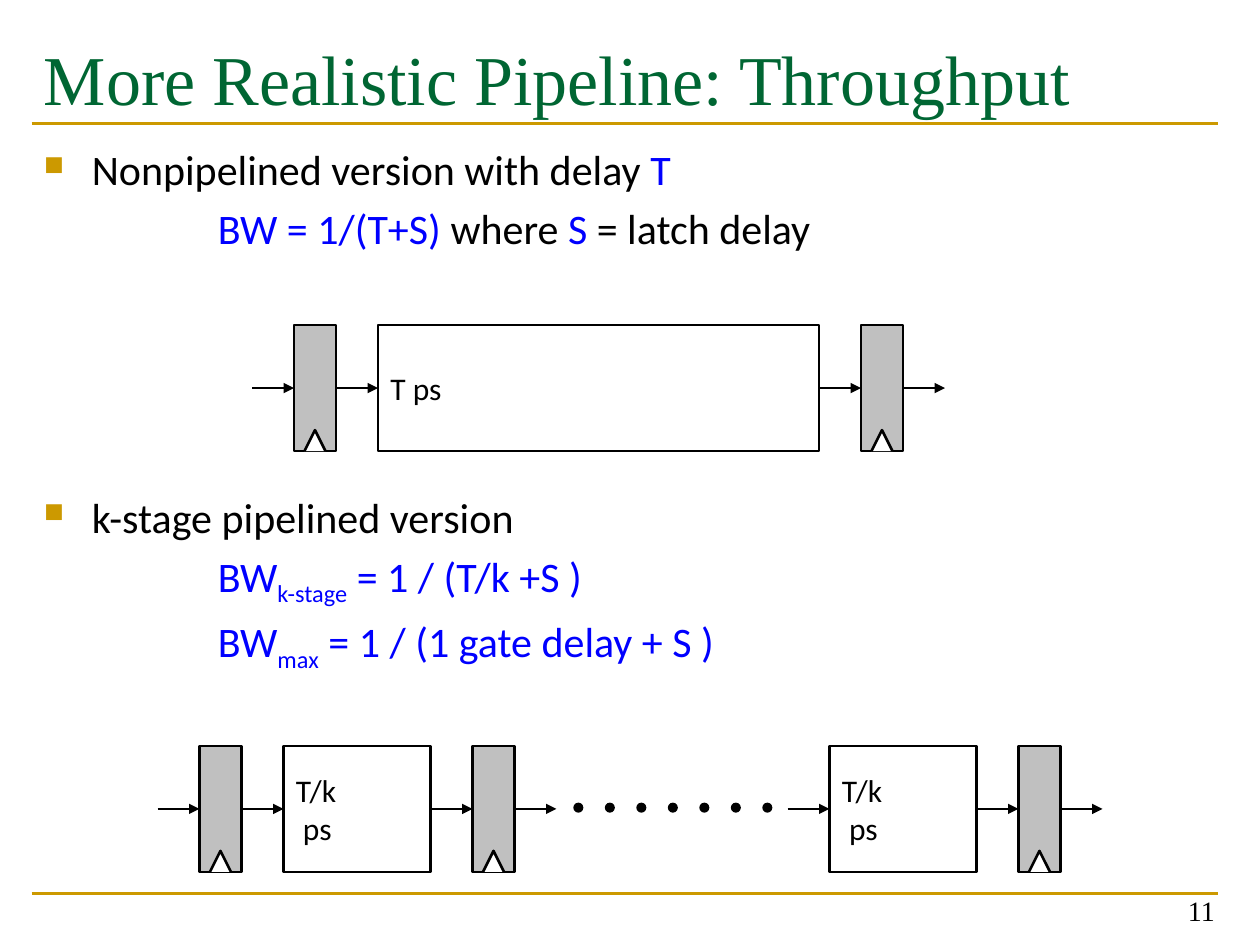
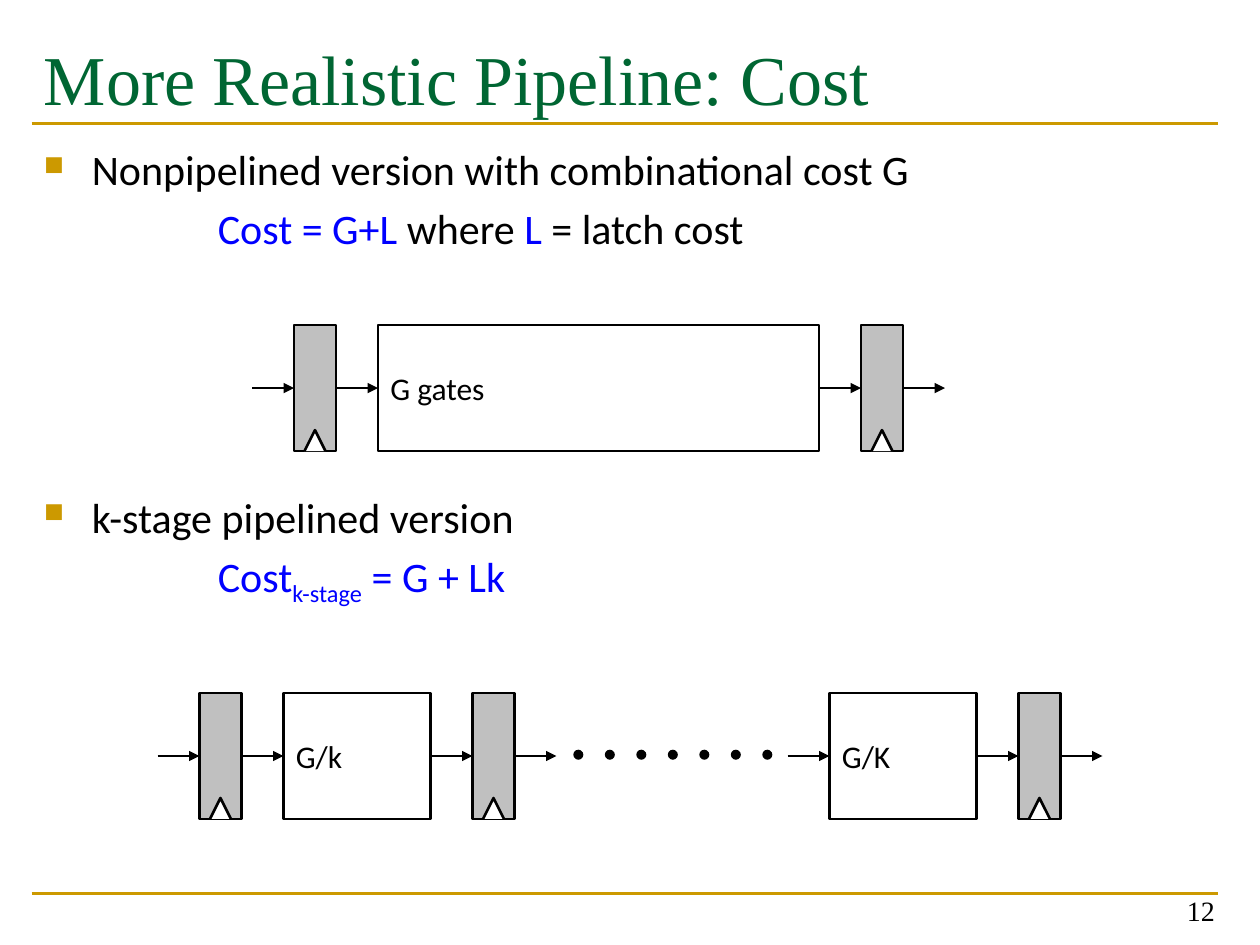
from dataclasses import dataclass

from lxml import etree
from pptx import Presentation
from pptx.dml.color import RGBColor
from pptx.enum.shapes import MSO_CONNECTOR, MSO_SHAPE
from pptx.enum.text import MSO_ANCHOR, PP_ALIGN
from pptx.oxml.ns import qn
from pptx.util import Inches, Pt

STRAIGHT = MSO_CONNECTOR.STRAIGHT
RECTANGLE, OVAL = MSO_SHAPE.RECTANGLE, MSO_SHAPE.OVAL
TOP, MIDDLE, BOTTOM = MSO_ANCHOR.TOP, MSO_ANCHOR.MIDDLE, MSO_ANCHOR.BOTTOM
LEFT, RIGHT = PP_ALIGN.LEFT, PP_ALIGN.RIGHT
LEFT_SIDE, RIGHT_SIDE = 1, 3


@dataclass(frozen=True)
class Theme:
    title: str = "006633"
    gold: str = "CC9900"
    text: str = "000000"
    formula: str = "0000FF"
    latch: str = "C0C0C0"
    paper: str = "FFFFFF"
    serif: str = "Times New Roman"
    sans: str = "Calibri"
    title_size: float = 40
    body_size: float = 24
    label_size: float = 18
    number_size: float = 16
    line_width: float = 1.5


THEME = Theme()
BLACK, BLUE = THEME.text, THEME.formula

MARGIN, CONTENT_WIDTH = 0.25, 9.42
RULES_Y = (0.98, 7.09)
BULLETS_Y = (1.09, 3.85)
BULLET_INDENT, FORMULA_INDENT = 0.38, 1.38

STAGE_HEIGHT = 1
LATCH_WIDTH = ARROW_LENGTH = 1 / 3
CLOCK_SIZE = 1 / 6
WHOLE_WIDTH, STAGE_WIDTH = 3.5, 7 / 6
DOT_COUNT, DOT_SIZE, DOT_PITCH = 7, 0.08, 0.25
LATCH = None


class Deck:
    def __init__(self, theme):
        self.theme = theme
        self.presentation = Presentation()
        self.presentation.slide_width = Inches(10)
        self.presentation.slide_height = Inches(7.5)
        self.slide = None

    def add_slide(self, title, number):
        theme = self.theme
        layout = self.presentation.slide_layouts[6]
        self.slide = self.presentation.slides.add_slide(layout)
        for y in RULES_Y:
            self.line(MARGIN, y, MARGIN + CONTENT_WIDTH, y, theme.gold)
        frame = self.text_box(MARGIN, 0.23, CONTENT_WIDTH, 0.75, TOP)
        self.fill_paragraph(frame.paragraphs[0], [(title, theme.title)],
                            theme.title_size, theme.serif)
        frame = self.text_box(7.41, 6.91, 2.33, 0.5, BOTTOM)
        self.fill_paragraph(frame.paragraphs[0], [(str(number), theme.text)],
                            theme.number_size, theme.serif, alignment=RIGHT)

    def text_box(self, left, top, width, height, anchor):
        frame = self.slide.shapes.add_textbox(
            Inches(left), Inches(top), Inches(width), Inches(height)).text_frame
        frame.word_wrap = True
        frame.vertical_anchor = anchor
        return frame

    def fill_paragraph(self, paragraph, runs, size, font, **formats):
        """Add (text, colour) runs to a paragraph; a third item marks a subscript."""
        for name, value in formats.items():
            setattr(paragraph, name, value)
        for text, colour, *subscript in runs:
            run = paragraph.add_run()
            run.text = text
            for name, value in {"size": Pt(size), "name": font}.items():
                setattr(run.font, name, value)
            run.font.color.rgb = RGBColor.from_string(colour)
            if subscript:
                run._r.get_or_add_rPr().set("baseline", "-25000")

    def bullet(self, top, heading, formulas):
        """Add a bulleted line with indented formulas below it."""
        theme = self.theme
        frame = self.text_box(MARGIN, top, CONTENT_WIDTH, 1.9, TOP)
        for index, runs in enumerate([heading, *formulas]):
            paragraph = frame.add_paragraph() if index else frame.paragraphs[0]
            self.fill_paragraph(paragraph, runs, theme.body_size, theme.sans,
                                space_before=Pt(0.2 * theme.body_size))
            indent = FORMULA_INDENT if index else BULLET_INDENT
            properties = paragraph._p.get_or_add_pPr()
            properties.set("marL", str(Inches(indent)))
            if index == 0:
                properties.set("indent", str(-Inches(indent)))
                colour = etree.SubElement(properties, qn("a:buClr"))
                etree.SubElement(colour, qn("a:srgbClr"), val=theme.gold)
                etree.SubElement(properties, qn("a:buSzPct"), val="65000")
                etree.SubElement(properties, qn("a:buChar"), char="■")

    def line(self, x1, y1, x2, y2, colour, arrow=False):
        line = self.slide.shapes.add_connector(
            STRAIGHT, Inches(x1), Inches(y1), Inches(x2), Inches(y2))
        line.line.color.rgb = RGBColor.from_string(colour)
        line.line.width = Pt(self.theme.line_width)
        properties = line._element.spPr
        if arrow:
            etree.SubElement(properties.find(qn("a:ln")), qn("a:tailEnd"),
                             type="triangle")
        etree.SubElement(properties, qn("a:effectLst"))
        return line

    def paint(self, shape, fill, outlined=True):
        shape.shadow.inherit = False
        shape.fill.solid()
        shape.fill.fore_color.rgb = RGBColor.from_string(fill)
        if outlined:
            shape.line.color.rgb = RGBColor.from_string(self.theme.text)
            shape.line.width = Pt(self.theme.line_width)
        else:
            shape.line.fill.background()

    def shape(self, kind, left, top, width, height, fill, outlined=True):
        shape = self.slide.shapes.add_shape(
            kind, Inches(left), Inches(top), Inches(width), Inches(height))
        self.paint(shape, fill, outlined)
        return shape

    def latch(self, left, top):
        theme = self.theme
        latch = self.shape(RECTANGLE, left, top, LATCH_WIDTH, STAGE_HEIGHT,
                           theme.latch)
        middle, bottom = left + LATCH_WIDTH / 2, top + STAGE_HEIGHT
        half = CLOCK_SIZE / 2
        builder = self.slide.shapes.build_freeform(
            Inches(middle - half), Inches(bottom))
        builder.add_line_segments(
            [(Inches(middle), Inches(bottom - CLOCK_SIZE)),
             (Inches(middle + half), Inches(bottom))], close=False)
        self.paint(builder.convert_to_shape(), theme.paper)
        return latch

    def logic(self, left, top, width, lines):
        theme = self.theme
        box = self.shape(RECTANGLE, left, top, width, STAGE_HEIGHT, theme.paper)
        frame = box.text_frame
        frame.word_wrap = True
        frame.vertical_anchor = MIDDLE
        for index, text in enumerate(lines):
            paragraph = frame.add_paragraph() if index else frame.paragraphs[0]
            self.fill_paragraph(paragraph, [(text, theme.text)],
                                theme.label_size, theme.sans, alignment=LEFT)
        return box

    def chain(self, left, top, parts, width):
        """Draw latches and logic boxes in a row, with arrows in, between and out."""
        middle = top + STAGE_HEIGHT / 2
        previous = None
        for part in parts:
            arrow = self.line(left, middle, left + ARROW_LENGTH, middle,
                              self.theme.text, arrow=True)
            left += ARROW_LENGTH
            if part is LATCH:
                current = self.latch(left, top)
                left += LATCH_WIDTH
            else:
                current = self.logic(left, top, width, part)
                left += width
            if previous is not None:
                arrow.begin_connect(previous, RIGHT_SIDE)
            arrow.end_connect(current, LEFT_SIDE)
            previous = current
        arrow = self.line(left, middle, left + ARROW_LENGTH, middle,
                          self.theme.text, arrow=True)
        arrow.begin_connect(previous, RIGHT_SIDE)

    def dots(self, left, middle):
        for index in range(DOT_COUNT):
            self.shape(OVAL, left + index * DOT_PITCH, middle - DOT_SIZE / 2,
                       DOT_SIZE, DOT_SIZE, self.theme.text, outlined=False)

    def pipelines(self, whole, first_stage, last_stage, staged_top):
        """Draw the single-block pipeline and the k-stage pipeline under it."""
        self.chain(2, 2.58, [LATCH, whole, LATCH], WHOLE_WIDTH)
        self.chain(1.25, staged_top, [LATCH, first_stage, LATCH], STAGE_WIDTH)
        self.dots(4.55, staged_top + STAGE_HEIGHT / 2 - 0.01)
        self.chain(6.25, staged_top, [last_stage, LATCH], STAGE_WIDTH)


def main():
    deck = Deck(THEME)
    staged_heading = [("k-stage pipelined version", BLACK)]

    deck.add_slide("More Realistic Pipeline: Throughput", 11)
    deck.bullet(
        BULLETS_Y[0],
        [("Nonpipelined version with delay ", BLACK), ("T", BLUE)],
        [[("BW = 1/(T+S) ", BLUE), ("where ", BLACK), ("S ", BLUE),
          ("= latch delay", BLACK)]])
    deck.bullet(
        BULLETS_Y[1], staged_heading,
        [[("BW", BLUE), ("k-stage", BLUE, True), (" = 1 / (T/k +S )", BLUE)],
         [("BW", BLUE), ("max", BLUE, True),
          (" = 1 / (1 gate delay + S )", BLUE)]])
    stage = ["T/k", " ps"]
    deck.pipelines(["T ps"], stage, stage, staged_top=5.92)

    deck.add_slide("More Realistic Pipeline: Cost", 12)
    deck.bullet(
        BULLETS_Y[0],
        [("Nonpipelined version with combinational cost G", BLACK)],
        [[("Cost = G+L ", BLUE), ("where ", BLACK), ("L ", BLUE),
          ("= latch cost", BLACK)]])
    deck.bullet(
        BULLETS_Y[1], staged_heading,
        [[("Cost", BLUE), ("k-stage", BLUE, True), (" = G + Lk", BLUE)]])
    deck.pipelines(["G gates"], ["G/k"], ["G/K"], staged_top=5.5)

    deck.presentation.save("out.pptx")


if __name__ == "__main__":
    main()
